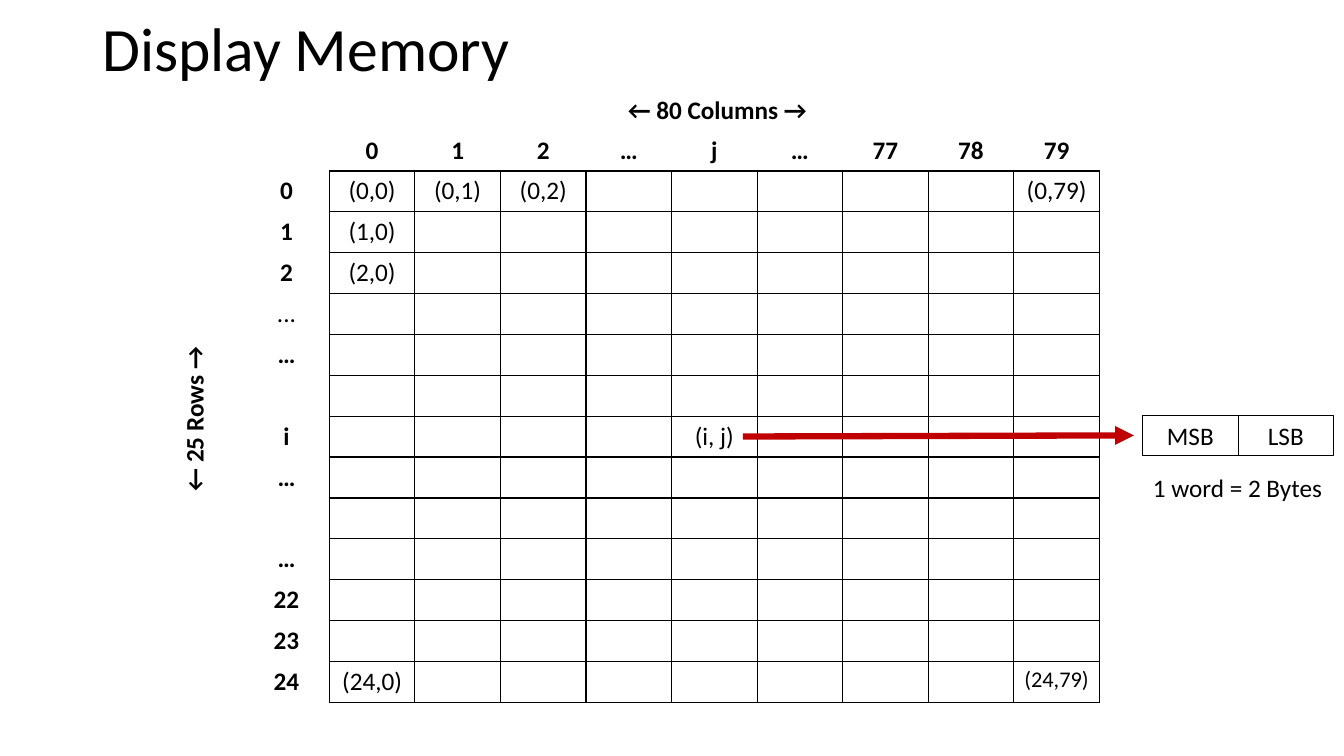
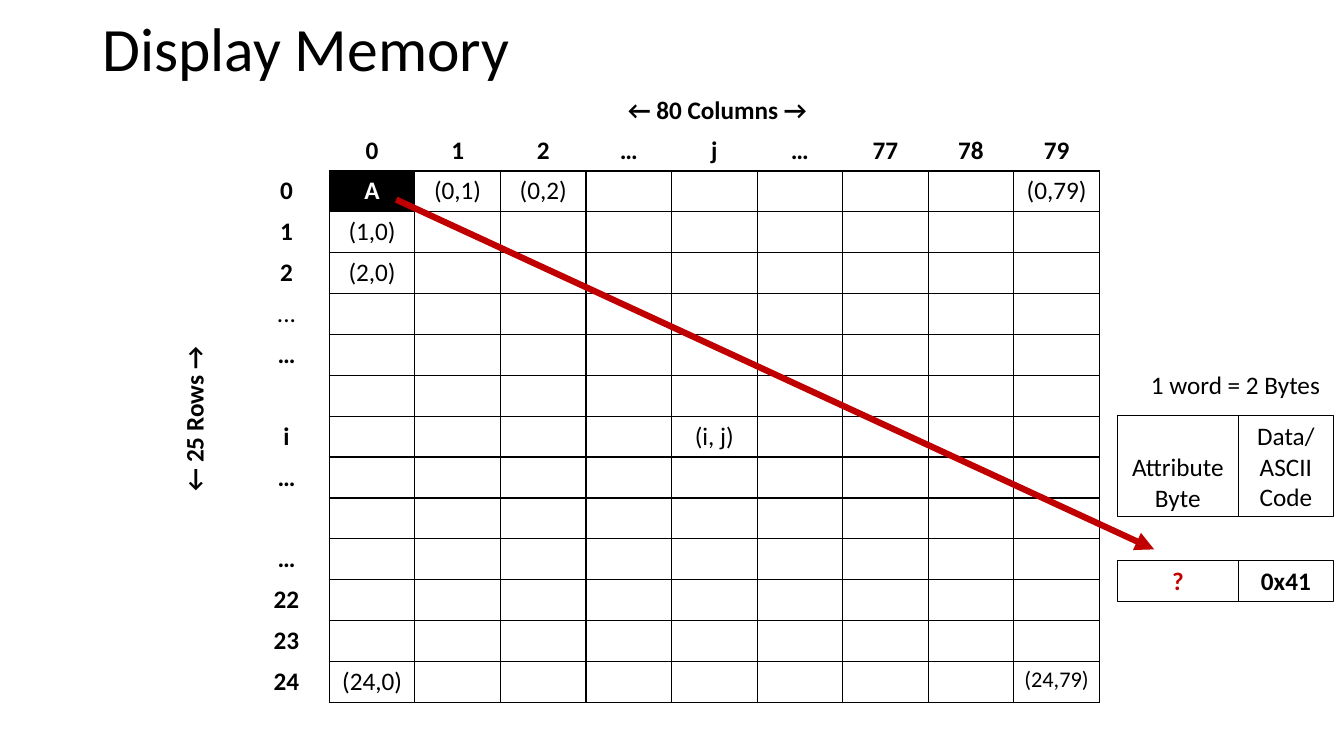
from dataclasses import dataclass
from typing import NamedTuple

from lxml.etree import SubElement
from pptx import Presentation
from pptx.dml.color import RGBColor
from pptx.enum.shapes import MSO_CONNECTOR, MSO_SHAPE
from pptx.enum.text import MSO_ANCHOR, MSO_AUTO_SIZE, PP_ALIGN
from pptx.oxml.ns import qn
from pptx.slide import Slide
from pptx.table import _Cell as Cell
from pptx.text.text import TextFrame
from pptx.util import Pt


@dataclass(frozen=True)
class Theme:
    font: str = "Calibri"
    black: RGBColor = RGBColor(0, 0, 0)
    white: RGBColor = RGBColor(255, 255, 255)
    red: RGBColor = RGBColor(192, 0, 0)
    title: float = 44
    body: float = 18
    small: float = 16
    rule: float = 1
    edge: float = 0.75
    arrow: float = 4.5


class Area(NamedTuple):
    left: float
    top: float
    width: float
    height: float


class Point(NamedTuple):
    x: float
    y: float


class Byte(NamedTuple):
    text: str
    area: Area
    bold: bool = False
    color: RGBColor = Theme.black
    anchor: MSO_ANCHOR = MSO_ANCHOR.MIDDLE


THEME = Theme()
GRID = Area(174.1, 92.9, 611.3, 408.8)
HEADS = ["", "0", "1", "2", "…", "j", "…", "77", "78", "79"]
SIDES = ["0", "1", "2", "...", "…", "", "i", "…", "", "…", "22", "23", "24"]
ITEMS = {(1, 1): "(0,0)", (1, 2): "(0,1)", (1, 3): "(0,2)", (1, 9): "(0,79)",
         (2, 1): "(1,0)", (3, 1): "(2,0)", (7, 5): "(i, j)",
         (13, 1): "(24,0)", (13, 9): "(24,79)"}
SPLIT = 884.4
LINE = 29.1
WORD_TOP = 296.6
WIDE, SLIM = 86.2, 68.2


def write(frame: TextFrame, text: str, *, size: float = THEME.body,
          bold: bool = False, color: RGBColor = THEME.black,
          align: PP_ALIGN = PP_ALIGN.CENTER, space: float = 1) -> None:
    frame.text = text
    for para in frame.paragraphs:
        para.alignment = align
        para.line_spacing = space
        for font in [para.font] + [run.font for run in para.runs]:
            font.name = THEME.font
            font.size = Pt(size)
            font.bold = bold
            font.color.rgb = color


def label(slide: Slide, text: str, area: Area, *, bold: bool = False,
          turn: float = 0) -> None:
    box = slide.shapes.add_textbox(*map(Pt, area))
    box.rotation = turn
    box.text_frame.word_wrap = False
    box.text_frame.auto_size = MSO_AUTO_SIZE.SHAPE_TO_FIT_TEXT
    write(box.text_frame, text, bold=bold, align=PP_ALIGN.LEFT)


def head(slide: Slide, text: str) -> None:
    box = slide.shapes.add_textbox(Pt(66), Pt(0), Pt(828), Pt(73))
    box.text_frame.word_wrap = True
    box.text_frame.vertical_anchor = MSO_ANCHOR.MIDDLE
    write(box.text_frame, text, size=THEME.title, align=PP_ALIGN.LEFT, space=0.9)


def border(cell: Cell, row: int, col: int) -> None:
    inner = row > 0 and col > 0
    shown = {"L": inner, "R": row > 0, "T": inner, "B": col > 0}
    props = cell._tc.get_or_add_tcPr()
    for side, drawn in shown.items():
        line = SubElement(props, qn(f"a:ln{side}"), w=str(Pt(THEME.rule)))
        if drawn:
            fill = SubElement(line, qn("a:solidFill"))
            SubElement(fill, qn("a:srgbClr"), val=str(THEME.black))
        else:
            SubElement(line, qn("a:noFill"))


def grid(slide: Slide, lit: dict[tuple[int, int], str]) -> None:
    rows, cols = len(SIDES) + 1, len(HEADS)
    table = slide.shapes.add_table(rows, cols, *map(Pt, GRID)).table
    table.first_row = table.horz_banding = False
    for col in table.columns:
        col.width = Pt(GRID.width / cols)
    for row in table.rows:
        row.height = Pt(GRID.height / rows)
    texts = ITEMS | lit
    texts |= {(0, col): text for col, text in enumerate(HEADS)}
    texts |= {(row, 0): text for row, text in enumerate(SIDES, 1)}
    for row in range(rows):
        for col in range(cols):
            cell, spot = table.cell(row, col), (row, col)
            text = texts.get(spot, "")
            border(cell, row, col)
            cell.fill.solid()
            cell.fill.fore_color.rgb = THEME.black if spot in lit else THEME.white
            write(cell.text_frame, text,
                  size=THEME.small if text == "(24,79)" else THEME.body,
                  bold=(row == 0 or col == 0 or spot in lit) and text != "...",
                  color=THEME.white if spot in lit else THEME.black)


def block(slide: Slide, byte: Byte) -> None:
    box = slide.shapes.add_shape(MSO_SHAPE.RECTANGLE, *map(Pt, byte.area))
    box.shadow.inherit = False
    box.fill.background()
    box.line.color.rgb = THEME.black
    box.line.width = Pt(THEME.edge)
    box.text_frame.word_wrap = True
    box.text_frame.vertical_anchor = byte.anchor
    write(box.text_frame, byte.text, bold=byte.bold, color=byte.color)


def arrow(slide: Slide, start: Point, end: Point) -> None:
    link = slide.shapes.add_connector(MSO_CONNECTOR.STRAIGHT, *map(Pt, start + end))
    link.line.color.rgb = THEME.red
    link.line.width = Pt(THEME.arrow)
    SubElement(link.line._get_or_add_ln(), qn("a:tailEnd"), type="triangle")
    SubElement(link._element.spPr, qn("a:effectLst"))


def left(width: float, top: float, height: float) -> Area:
    return Area(SPLIT - width, top, width, height)


def right(top: float, height: float) -> Area:
    return Area(SPLIT, top, SLIM, height)


def build(deck: Presentation, lit: dict[tuple[int, int], str], note: Area,
          start: Point, end: Point, bytes_: list[Byte]) -> None:
    slide = deck.slides.add_slide(deck.slide_layouts[6])
    head(slide, "Display Memory")
    grid(slide, lit)
    label(slide, "← 80 Columns →", Area(441.4, 64, 146, LINE), bold=True)
    label(slide, "← 25 Rows →", Area(78, 283, 121, LINE), bold=True, turn=270)
    for byte in bytes_:
        block(slide, byte)
    label(slide, "1 word = 2 Bytes", note)
    arrow(slide, start, end)


def main() -> None:
    deck = Presentation()
    deck.slide_width, deck.slide_height = Pt(960), Pt(540)
    build(deck, {}, Area(816.5, 334.1, 136.8, LINE),
          Point(530.6, 311.8), Point(810, 311),
          [Byte("MSB", left(SLIM, WORD_TOP, LINE)),
           Byte("LSB", right(WORD_TOP, LINE))])
    tall, low = 72.7, 400.3
    build(deck, {(1, 1): "A"}, Area(815, 260.6, 136.8, LINE),
          Point(283, 142.6), Point(824.4, 392.4),
          [Byte("Attribute\nByte", left(WIDE, WORD_TOP, tall),
                anchor=MSO_ANCHOR.BOTTOM),
           Byte("Data/\nASCII Code", right(WORD_TOP, tall)),
           Byte("?", left(WIDE, low, LINE), bold=True, color=THEME.red),
           Byte("0x41", right(low, LINE), bold=True)])
    deck.save("out.pptx")


if __name__ == "__main__":
    main()
